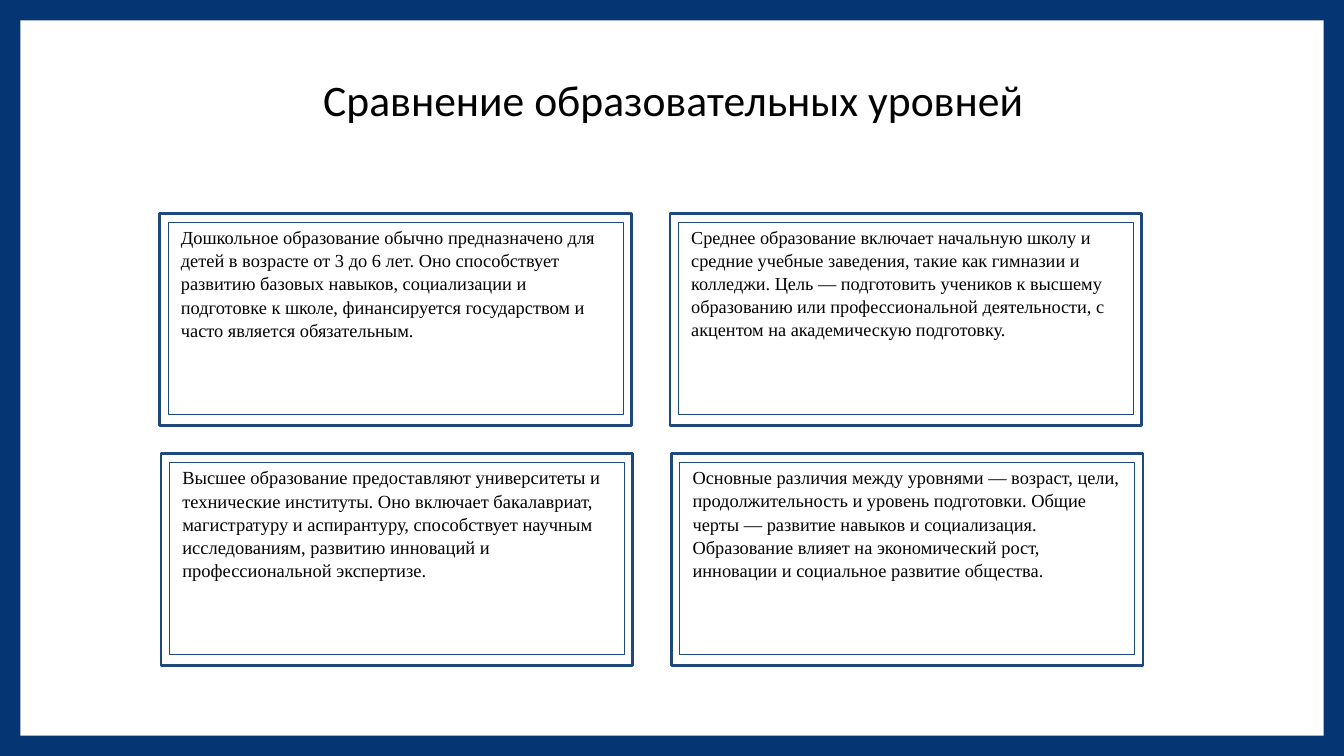
from pptx import Presentation
from pptx.dml.color import RGBColor
from pptx.enum.shapes import MSO_SHAPE
from pptx.enum.text import MSO_ANCHOR, PP_ALIGN
from pptx.util import Pt

PX = 9525
WIDE, HIGH = 1920, 1080
RECT = MSO_SHAPE.RECTANGLE
TOP = MSO_ANCHOR.TOP
LEFT, CENTER = PP_ALIGN.LEFT, PP_ALIGN.CENTER
COLORS = {"frame": "053572", "line": "1F497D", "text": "000000"}

TITLE = "Сравнение образовательных уровней"
CARDS = [
    ("Дошкольное образование обычно предназначено для детей в возрасте от 3 до 6 лет. "
     "Оно способствует развитию базовых навыков, социализации и подготовке к школе, "
     "финансируется государством и часто является обязательным.", 19.7),
    ("Среднее образование включает начальную школу и средние учебные заведения, "
     "такие как гимназии и колледжи. Цель — подготовить учеников к высшему образованию "
     "или профессиональной деятельности, с акцентом на академическую подготовку.", 19.6),
    ("Высшее образование предоставляют университеты и технические институты. "
     "Оно включает бакалавриат, магистратуру и аспирантуру, способствует научным "
     "исследованиям, развитию инноваций и профессиональной экспертизе.", 19.8),
    ("Основные различия между уровнями — возраст, цели, продолжительность и уровень "
     "подготовки. Общие черты — развитие навыков и социализация. Образование влияет "
     "на экономический рост, инновации и социальное развитие общества.", 19.7),
]


def color(name):
    return RGBColor.from_string(COLORS[name])


def emu(box):
    return [side * PX for side in box]


def add_rect(slide, box, fill=None, line=None, width=0):
    shape = slide.shapes.add_shape(RECT, *emu(box))
    shape.shadow.inherit = False
    if fill:
        shape.fill.solid()
        shape.fill.fore_color.rgb = color(fill)
    else:
        shape.fill.background()
    if line:
        shape.line.color.rgb = color(line)
        shape.line.width = Pt(width)
    else:
        shape.line.fill.background()
    return shape


def add_text(shape, text, font, size, align):
    frame = shape.text_frame
    frame.word_wrap = True
    frame.vertical_anchor = TOP
    para = frame.paragraphs[0]
    para.alignment = align
    para.line_spacing = 1.05
    props = para._p.get_or_add_pPr()
    props.set("marL", str(9 * PX))
    props.set("indent", "0")
    run = para.add_run()
    run.text = text
    run.font.name = font
    run.font.size = Pt(size)
    run.font.color.rgb = color("text")


def add_frame(slide, box, thick):
    """Edge the box with four bars."""
    x, y, w, h = box
    bars = [
        (x, y, w, thick),
        (x + w - thick, y, thick, h),
        (x, y, thick, h),
        (x, y + h - thick, w, thick),
    ]
    for bar in bars:
        add_rect(slide, bar, fill="frame")


def add_title(slide, box):
    add_text(slide.shapes.add_textbox(*emu(box)), TITLE, "Calibri", 46.7, CENTER)


def add_card(slide, box, text, size):
    """Draw a thick outline with a thin text panel inside it."""
    x, y, w, h = box
    add_rect(slide, box, line="line", width=3)
    panel = add_rect(slide, (x + 12, y + 12, w - 24, h - 28), line="line", width=0.75)
    add_text(panel, text, "Times New Roman", size, LEFT)


def add_grid(slide, box, gap_x, gap_y):
    x, y, w, h = box
    wide, high = (w - gap_x) // 2, (h - gap_y) // 2
    for i, (text, size) in enumerate(CARDS):
        row, col = divmod(i, 2)
        left = x + col * (wide + gap_x) + row * 2
        top = y + row * (high + gap_y)
        add_card(slide, (left, top, wide, high), text, size)


def main():
    deck = Presentation()
    deck.slide_width, deck.slide_height = WIDE * PX, HIGH * PX
    slide = deck.slides.add_slide(deck.slide_layouts[6])
    add_frame(slide, (0, 0, WIDE, HIGH), 29)
    add_title(slide, (102, 96, 1711, 154))
    add_grid(slide, (228, 305, 1403, 646), 55, 40)
    deck.save("out.pptx")


if __name__ == "__main__":
    main()
